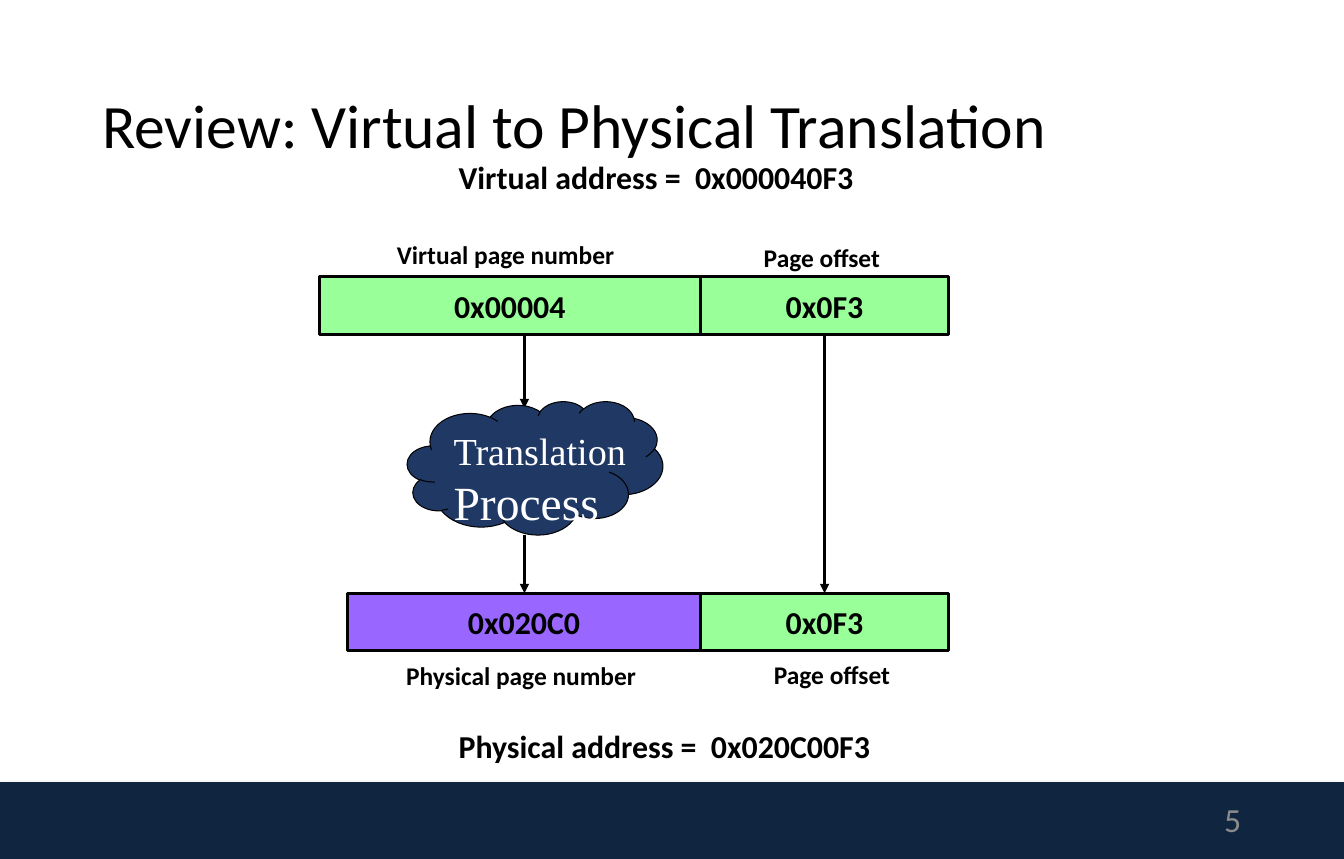
from dataclasses import dataclass

from lxml.etree import SubElement
from pptx import Presentation
from pptx.dml.color import RGBColor
from pptx.enum.shapes import MSO_CONNECTOR, MSO_SHAPE
from pptx.enum.text import MSO_ANCHOR, MSO_AUTO_SIZE, PP_ALIGN
from pptx.oxml import parse_xml
from pptx.oxml.ns import nsdecls, qn
from pptx.util import Inches, Pt


@dataclass(frozen=True)
class Theme:
    font: str = "Calibri"
    cloud_font: str = "Times New Roman"
    ink: str = "000000"
    white: str = "FFFFFF"
    band: str = "10253F"
    number: str = "8C8C8C"
    green: str = "99FF99"
    purple: str = "9966FF"
    cloud: str = "203864"
    title_size: float = 43.9
    address_size: float = 22.7
    label_size: float = 18.1
    number_size: float = 24
    cloud_sizes: tuple = (27.2, 33.9)
    line: float = 2.25
    thin_line: float = 0.75


THEME = Theme()
PAGE_WIDTH, PAGE_HEIGHT = 13.3, 8.5
BAND_TOP = 7.74
FIELD_HEIGHT = 0.57
VIRTUAL_TOP, PHYSICAL_TOP = 2.74, 5.87
VIRTUAL_LEFT, PHYSICAL_LEFT = 3.16, 3.44
OFFSET_LEFT, OFFSET_RIGHT = 6.93, 9.39
PAGE_ARROW_X = 5.19
CLOUD_BOX = (4.03, 3.97, 2.53, 1.32)


def rgb(color):
    return RGBColor.from_string(color)


def write(box, *lines, sizes, font=THEME.font, color=THEME.ink, bold=False,
          align=PP_ALIGN.LEFT, anchor=MSO_ANCHOR.TOP, wrap=False, spacing=None):
    """Fill a shape with one paragraph per line, each with its own size."""
    frame = box.text_frame
    frame.word_wrap = wrap
    frame.auto_size = MSO_AUTO_SIZE.NONE
    frame.vertical_anchor = anchor
    for index, (line, size) in enumerate(zip(lines, sizes)):
        para = frame.paragraphs[0] if index == 0 else frame.add_paragraph()
        para.alignment = align
        para.line_spacing = spacing
        span = para.add_run()
        span.text = line
        span.font.name = font
        span.font.size = Pt(size)
        span.font.bold = bold
        span.font.color.rgb = rgb(color)


def add_box(page, kind, place, fill, line=None):
    box = page.shapes.add_shape(kind, *map(Inches, place))
    box.shadow.inherit = False
    box.fill.solid()
    box.fill.fore_color.rgb = rgb(fill)
    if line is None:
        box.line.fill.background()
    else:
        box.line.color.rgb = rgb(THEME.ink)
        box.line.width = Pt(line)
    return box


def add_text(page, text, place, size, **style):
    box = page.shapes.add_textbox(*map(Inches, place))
    write(box, text, sizes=[size], **style)


def add_title(page, text):
    title = page.shapes.title
    title.left, title.top, title.width, title.height = map(
        Inches, (0.91, 0.45, 11.47, 1.64))
    write(title, text, sizes=[THEME.title_size], anchor=MSO_ANCHOR.MIDDLE,
          wrap=True, spacing=0.9)


def add_band(page):
    band = add_box(page, MSO_SHAPE.RECTANGLE,
                   (0, BAND_TOP, PAGE_WIDTH, PAGE_HEIGHT - BAND_TOP), THEME.band)
    effects = band._element.spPr.find(qn("a:effectLst"))
    effects.append(parse_xml(
        f'<a:outerShdw {nsdecls("a")} blurRad="{Pt(3.1)}" dist="{Pt(1.8)}" '
        'dir="5400000" rotWithShape="0"><a:srgbClr val="808080">'
        '<a:alpha val="35000"/></a:srgbClr></a:outerShdw>'))


def add_field(page, text, left, right, top, fill):
    """Draw one bordered part of an address."""
    box = add_box(page, MSO_SHAPE.RECTANGLE,
                  (left, top, right - left, FIELD_HEIGHT), fill, THEME.line)
    write(box, text, sizes=[THEME.address_size], bold=True,
          align=PP_ALIGN.CENTER, anchor=MSO_ANCHOR.MIDDLE)


def add_arrow(page, x, top, bottom):
    arrow = page.shapes.add_connector(
        MSO_CONNECTOR.STRAIGHT, *map(Inches, (x, top, x, bottom)))
    arrow.line.color.rgb = rgb(THEME.ink)
    arrow.line.width = Pt(THEME.line)
    SubElement(arrow.line._get_or_add_ln(), qn("a:tailEnd"), type="triangle")
    SubElement(arrow._element.spPr, qn("a:effectLst"))


def add_cloud(page):
    cloud = add_box(page, MSO_SHAPE.CLOUD, CLOUD_BOX, THEME.cloud, THEME.thin_line)
    frame = cloud.text_frame
    frame.margin_left = frame.margin_right = Inches(0.11)
    frame.margin_top = frame.margin_bottom = Inches(0.06)
    write(cloud, "Translation", "Process", sizes=THEME.cloud_sizes,
          font=THEME.cloud_font, color=THEME.white)


def main():
    deck = Presentation()
    deck.slide_width, deck.slide_height = Inches(PAGE_WIDTH), Inches(PAGE_HEIGHT)
    page = deck.slides.add_slide(deck.slide_layouts[5])

    add_band(page)
    add_title(page, "Review: Virtual to Physical Translation")
    add_text(page, "5", (9.39, 7.88, 2.99, 0.45), THEME.number_size,
             color=THEME.number, align=PP_ALIGN.RIGHT,
             anchor=MSO_ANCHOR.MIDDLE, wrap=True)

    for text, left, top, fill in (
            ("0x00004", VIRTUAL_LEFT, VIRTUAL_TOP, THEME.green),
            ("0x020C0", PHYSICAL_LEFT, PHYSICAL_TOP, THEME.purple)):
        add_field(page, text, left, OFFSET_LEFT, top, fill)
        add_field(page, "0x0F3", OFFSET_LEFT, OFFSET_RIGHT, top, THEME.green)

    for text, place in (
            ("Virtual page number", (3.83, 2.32, 2.38, 0.41)),
            ("Page offset", (7.46, 2.35, 1.37, 0.41)),
            ("Physical page number", (3.92, 6.48, 2.51, 0.41)),
            ("Page offset", (7.56, 6.47, 1.37, 0.41))):
        add_text(page, text, place, THEME.label_size, bold=True)

    for text, place in (
            ("Virtual address =  0x000040F3", (4.44, 1.51, 4.14, 0.48)),
            ("Physical address =  0x020C00F3", (4.44, 7.14, 4.31, 0.48))):
        add_text(page, text, place, THEME.address_size, bold=True)

    virtual_bottom = VIRTUAL_TOP + FIELD_HEIGHT
    cloud_bottom = CLOUD_BOX[1] + CLOUD_BOX[3]
    add_arrow(page, (OFFSET_LEFT + OFFSET_RIGHT) / 2, virtual_bottom, PHYSICAL_TOP)
    add_arrow(page, PAGE_ARROW_X, virtual_bottom, 4.04)
    add_cloud(page)
    add_arrow(page, PAGE_ARROW_X, cloud_bottom, PHYSICAL_TOP)

    deck.save("out.pptx")


if __name__ == "__main__":
    main()
